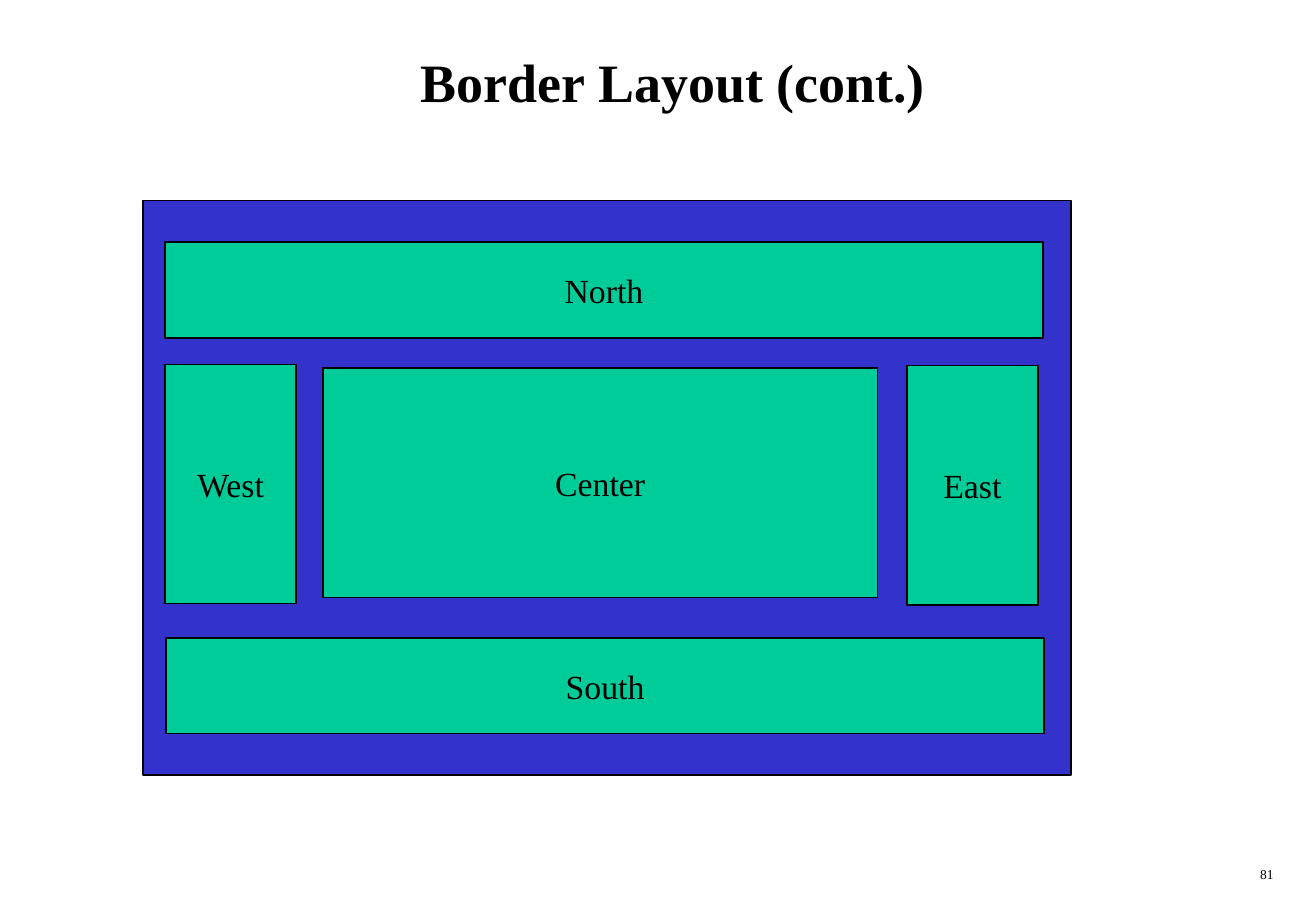
"""Builds the Border Layout slide."""
from pptx import Presentation
from pptx import util as u
from pptx.dml.color import RGBColor
from pptx.enum import shapes, text

PX = 9144
COLORS = {"frame": "3333CC", "region": "00CC99", "ink": "000000"}
FONT = "Times New Roman"

REGIONS = {
    "North": (136, 199, 723, 79),
    "South": (137, 525, 723, 79),
    "West": (136, 300, 108, 197),
    "East": (747, 301, 108, 197),
    "Center": (266, 303, 457, 189),
}


def emu(box):
    """Turn px lengths into EMU."""
    return [u.Emu(n * PX) for n in box]


def color(name):
    """Look up a named colour."""
    return RGBColor.from_string(COLORS[name])


def set_text(sp, words, size, bold=False, wrap=True,
             align=text.PP_ALIGN.CENTER, anchor=text.MSO_ANCHOR.MIDDLE):
    """Write one formatted line of text into a shape."""
    tf = sp.text_frame
    tf.word_wrap = wrap
    tf.vertical_anchor = anchor
    p = tf.paragraphs[0]
    p.alignment = align
    r = p.add_run()
    r.text = words
    for key, value in {"name": FONT, "size": u.Pt(size), "bold": bold}.items():
        setattr(r.font, key, value)
    r.font.color.rgb = color("ink")


def add_label(s, box, words, size, **fmt):
    """Add a text box."""
    set_text(s.shapes.add_textbox(*emu(box)), words, size, **fmt)


def add_panel(s, box, fill):
    """Add an outlined rectangle."""
    sp = s.shapes.add_shape(shapes.MSO_SHAPE.RECTANGLE, *emu(box))
    sp.shadow.inherit = False
    sp.fill.solid()
    sp.fill.fore_color.rgb = color(fill)
    sp.line.color.rgb = color("ink")
    sp.line.width = u.Pt(1)
    return sp


def main():
    """Build and save the slide."""
    prs = Presentation()
    prs.slide_width, prs.slide_height = emu((1084, 750))
    s = prs.slides.add_slide(prs.slide_layouts[6])
    add_label(s, (42, 17, 1025, 100), "Border Layout (cont.)", 32, bold=True)
    add_panel(s, (118, 165, 764, 473), "frame")
    for name, box in REGIONS.items():
        set_text(add_panel(s, box, "region"), name, 20, wrap=False)
    add_label(s, (833, 708, 226, 25), "81", 8,
              align=text.PP_ALIGN.RIGHT, anchor=text.MSO_ANCHOR.TOP)
    prs.save("out.pptx")


if __name__ == "__main__":
    main()
